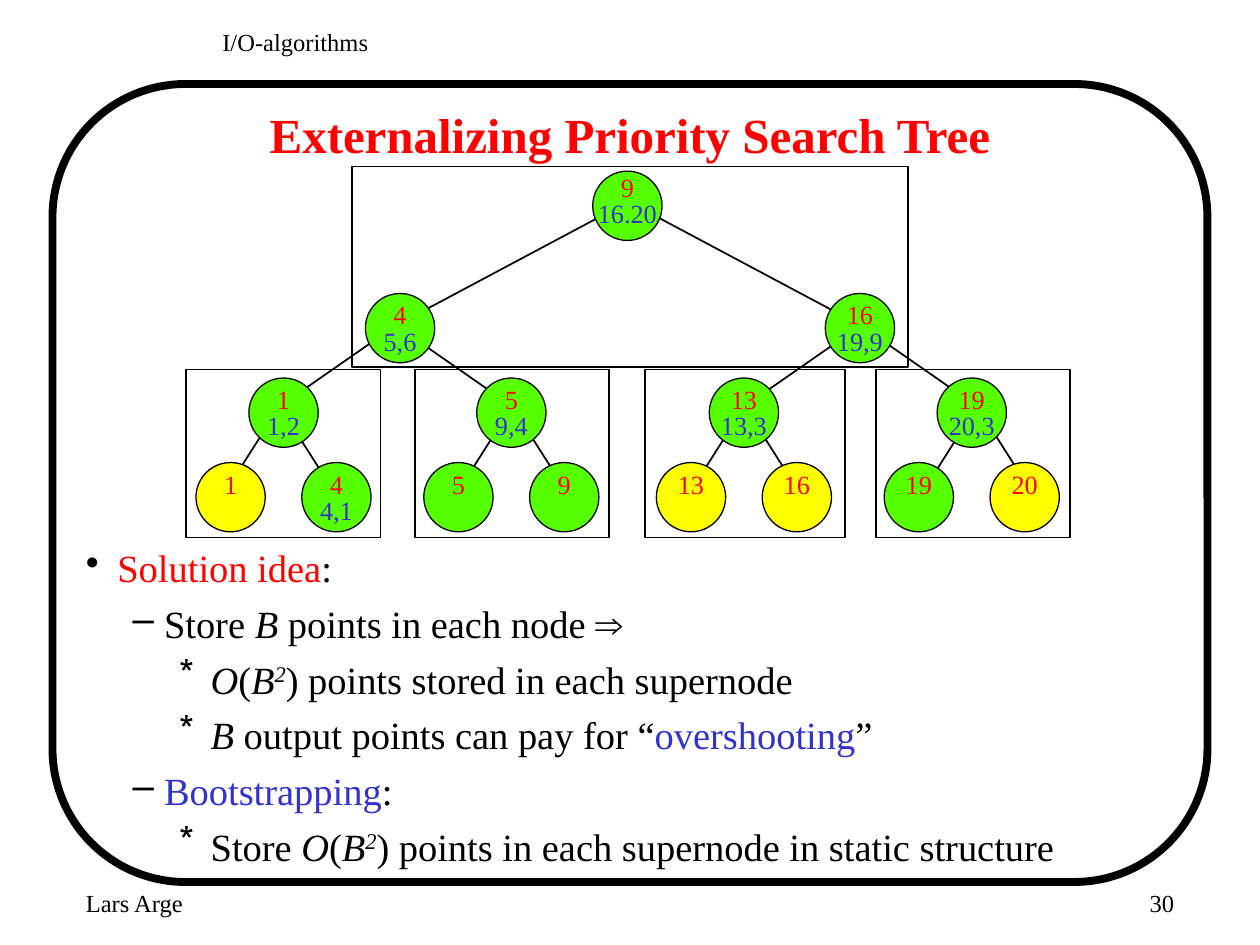
from dataclasses import dataclass

from lxml import etree
from pptx import Presentation
from pptx.dml.color import RGBColor
from pptx.enum.shapes import MSO_CONNECTOR, MSO_SHAPE
from pptx.enum.text import MSO_ANCHOR, PP_ALIGN
from pptx.oxml.ns import qn
from pptx.util import Inches, Pt

STRAIGHT = MSO_CONNECTOR.STRAIGHT
FRAME, OVAL, RECT = MSO_SHAPE.FLOWCHART_ALTERNATE_PROCESS, MSO_SHAPE.OVAL, MSO_SHAPE.RECTANGLE
MIDDLE = MSO_ANCHOR.MIDDLE
LEFT, CENTER, RIGHT = PP_ALIGN.LEFT, PP_ALIGN.CENTER, PP_ALIGN.RIGHT


@dataclass(frozen=True)
class Theme:
    """Colours, font and type sizes of the slide."""
    font: str = "Times New Roman"
    ink: str = "000000"
    red: str = "FF0000"
    blue: str = "3333CC"
    green: str = "57FF03"
    yellow: str = "FFFF00"
    title: int = 28
    body: int = 22
    label: int = 15
    small: int = 14


THEME = Theme()
COLS, ROWS = 120, 90
CELL = Inches(10) / COLS
DISC = 6.6
LEAF_X, LEAF_GAP = 21.1, 11.07
JOINT_Y = [19.2, 31, 38.7, 47.4]
DISC_Y = [16.3, 27.95, 36, 44.05]
LABEL_Y = [0, 0.5, 0.5, 0.5]
INNER_X = [27, 48.7, 70.85, 92.55]
DISC_X = [[59.75], [38.1, 81.9], INNER_X,
          [x + side for x in INNER_X for side in (-5.04, 5.04)]]
TREE = [
    [("9", "16.20")],
    [("4", "5,6"), ("16", "19,9")],
    [("1", "1,2"), ("5", "9,4"), ("13", "13,3"), ("19", "20,3")],
    [("1", ""), ("4", "4,1"), ("5", ""), ("9", ""),
     ("13", ""), ("16", ""), ("19", ""), ("20", "")],
]
YELLOW_LEAVES = {0, 4, 5, 7}
BLOCKS = [(17.75, 35.2, 18.5, 16), (39.5, 35.2, 18.5, 16), (61.45, 35.2, 19, 16),
          (83.4, 35.2, 18.5, 16), (33.5, 15.85, 53, 19.1)]
BULLETS = ["•", "–", "*"]
INDENTS = [0.25, 0.62, 0.99]
POINTS = [
    (0, [("Solution idea", "red"), (":", "")]),
    (1, [("Store ", ""), ("B", "italic"), (" points in each node ⇒", "")]),
    (2, [("O", "italic"), ("(", ""), ("B", "italic"), ("2", "power"),
         (") points stored in each supernode", "")]),
    (2, [("B", "italic"), (" output points can pay for “", ""),
         ("overshooting", "blue"), ("”", "")]),
    (1, [("Bootstrapping", "blue"), (":", "")]),
    (2, [("Store ", ""), ("O", "italic"), ("(", ""), ("B", "italic"), ("2", "power"),
         (") points in each supernode in static structure", "")]),
]


def grid(*cells):
    """Turn grid cells into slide lengths."""
    return [round(cell * CELL) for cell in cells]


def style(run, size, color):
    """Give a run the theme font, a size and a colour."""
    run.font.name, run.font.size = THEME.font, Pt(size)
    run.font.color.rgb = RGBColor.from_string(color)


def write(frame, text, size, color, align):
    """Fill a text frame with one styled line."""
    frame.text = text
    line = frame.paragraphs[0]
    line.alignment = align
    style(line.runs[0], size, color)


def add_note(slide, area, text, align=LEFT):
    """Add a small header or footer line."""
    frame = slide.shapes.add_textbox(*grid(*area)).text_frame
    frame.word_wrap = True
    write(frame, text, THEME.small, THEME.ink, align)


def add_shape(slide, kind, area, width, fill=None):
    """Add an outlined shape, hollow unless a fill is given."""
    shape = slide.shapes.add_shape(kind, *grid(*area))
    shape.shadow.inherit = False
    shape.line.color.rgb = RGBColor.from_string(THEME.ink)
    shape.line.width = Pt(width)
    if fill:
        shape.fill.solid()
        shape.fill.fore_color.rgb = RGBColor.from_string(fill)
    else:
        shape.fill.background()


def joint(depth, i):
    """Return the point where the edges of a node meet."""
    span = 2 ** (3 - depth)
    return LEAF_X + LEAF_GAP * (span * i + (span - 1) / 2), JOINT_Y[depth]


def add_edge(slide, depth, i):
    """Join a node to its parent."""
    ends = grid(*joint(depth - 1, i // 2), *joint(depth, i))
    edge = slide.shapes.add_connector(STRAIGHT, *ends)
    edge.line.color.rgb = RGBColor.from_string(THEME.ink)
    edge.line.width = Pt(1)
    etree.SubElement(edge._element.spPr, qn("a:effectLst"))


def add_label(slide, x, y, text, color):
    """Centre a tight text label on a column."""
    width = sum(1.25 if sign.isdigit() else 0.62 for sign in text)
    frame = slide.shapes.add_textbox(*grid(x - width / 2, y, width, 3)).text_frame
    frame.margin_left = frame.margin_right = frame.margin_top = frame.margin_bottom = 0
    frame.word_wrap = False
    write(frame, text, THEME.label, color, CENTER)


def add_node(slide, depth, i):
    """Add a tree node with its key and its stored point."""
    key, point = TREE[depth][i]
    x, y = DISC_X[depth][i], DISC_Y[depth]
    fill = THEME.yellow if depth == 3 and i in YELLOW_LEAVES else THEME.green
    add_shape(slide, OVAL, (x - DISC / 2, y, DISC, DISC), 0.75, fill)
    top = y + LABEL_Y[depth]
    add_label(slide, x, top, key, THEME.red)
    if point:
        add_label(slide, x, top + 2.5, point, THEME.blue)


def add_bullet(line, level):
    """Give a paragraph its indent and bullet."""
    props = line._p.get_or_add_pPr()
    props.set("marL", str(Inches(INDENTS[level])))
    props.set("indent", str(-Inches(0.25)))
    color = etree.SubElement(props, qn("a:buClr"))
    etree.SubElement(color, qn("a:srgbClr"), val=THEME.ink)
    etree.SubElement(props, qn("a:buChar"), char=BULLETS[level])


def add_body(slide):
    """Add the bulleted text below the tree."""
    frame = slide.shapes.add_textbox(*grid(7, 51.24, 106, 33)).text_frame
    frame.word_wrap = True
    hues = {"red": THEME.red, "blue": THEME.blue}
    for n, (level, parts) in enumerate(POINTS):
        line = frame.add_paragraph() if n else frame.paragraphs[0]
        line.level, line.space_before = level, Pt(5.4)
        add_bullet(line, level)
        for text, look in parts:
            run = line.add_run()
            run.text = text
            style(run, THEME.body, hues.get(look, THEME.ink))
            run.font.italic = look in ("italic", "power")
            if look == "power":
                run._r.get_or_add_rPr().set("baseline", "30000")


def add_title(slide):
    """Place and format the title."""
    title = slide.shapes.title
    title.left, title.top, title.width, title.height = grid(9, 8.8, 102, 8)
    title.text_frame.vertical_anchor = MIDDLE
    write(title.text_frame, "Externalizing Priority Search Tree",
          THEME.title, THEME.red, CENTER)
    title.text_frame.paragraphs[0].runs[0].font.bold = True


def main():
    """Build the slide and save it."""
    deck = Presentation()
    deck.slide_width, deck.slide_height = grid(COLS, ROWS)
    slide = deck.slides.add_slide(deck.slide_layouts[5])
    add_shape(slide, FRAME, (5, 8, 110, 76), 4.5)
    add_note(slide, (7, 84, 25, 6), "Lars Arge")
    add_note(slide, (20, 2, 79, 5), "I/O-algorithms")
    add_note(slide, (88, 84, 25, 6), "30", RIGHT)
    add_title(slide)
    add_body(slide)
    nodes = [(depth, i) for depth, row in enumerate(TREE) for i in range(len(row))]
    for depth, i in nodes[1:]:
        add_edge(slide, depth, i)
    for depth, i in nodes:
        add_node(slide, depth, i)
    for area in BLOCKS:
        add_shape(slide, RECT, area, 1)
    deck.save("out.pptx")


if __name__ == "__main__":
    main()
